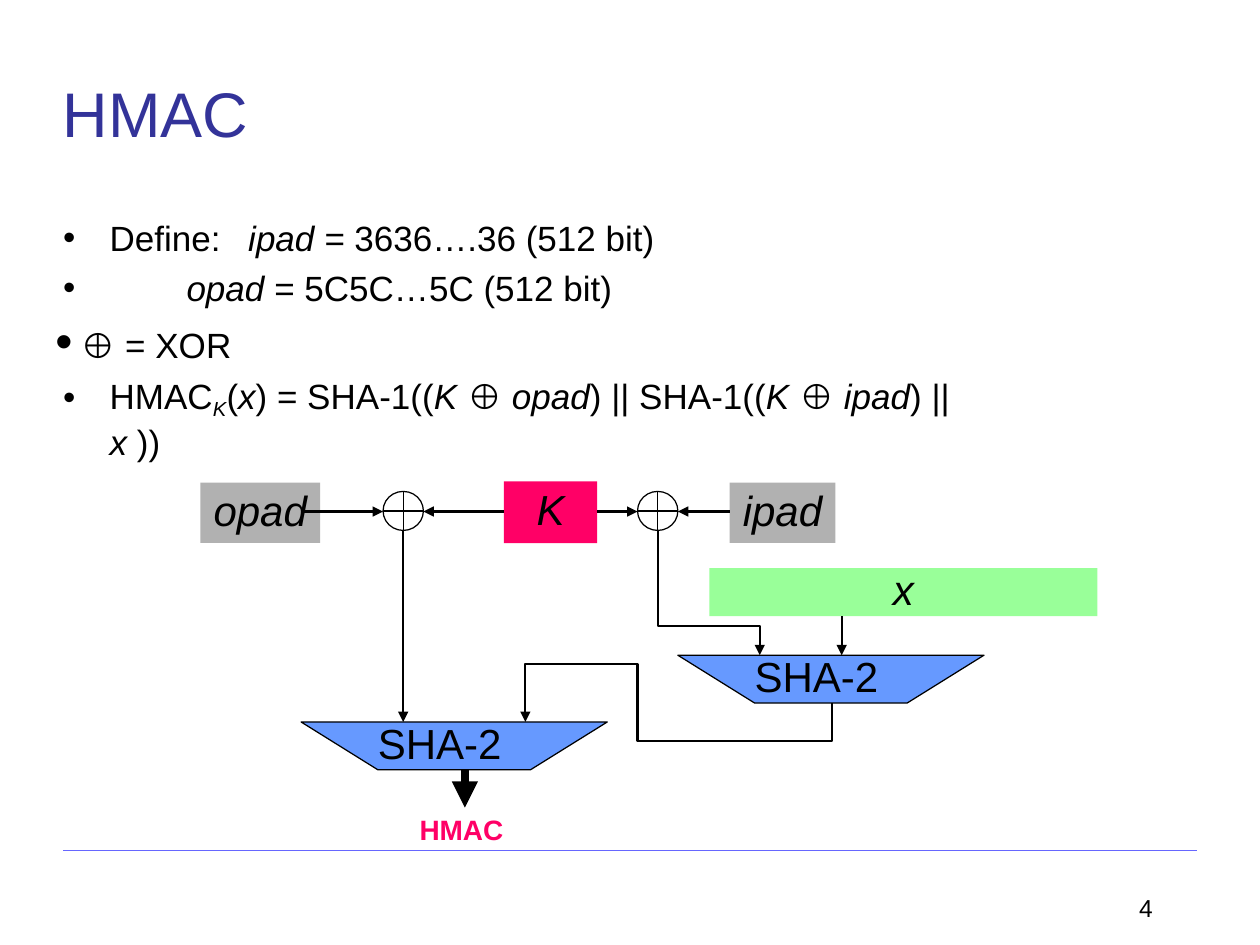
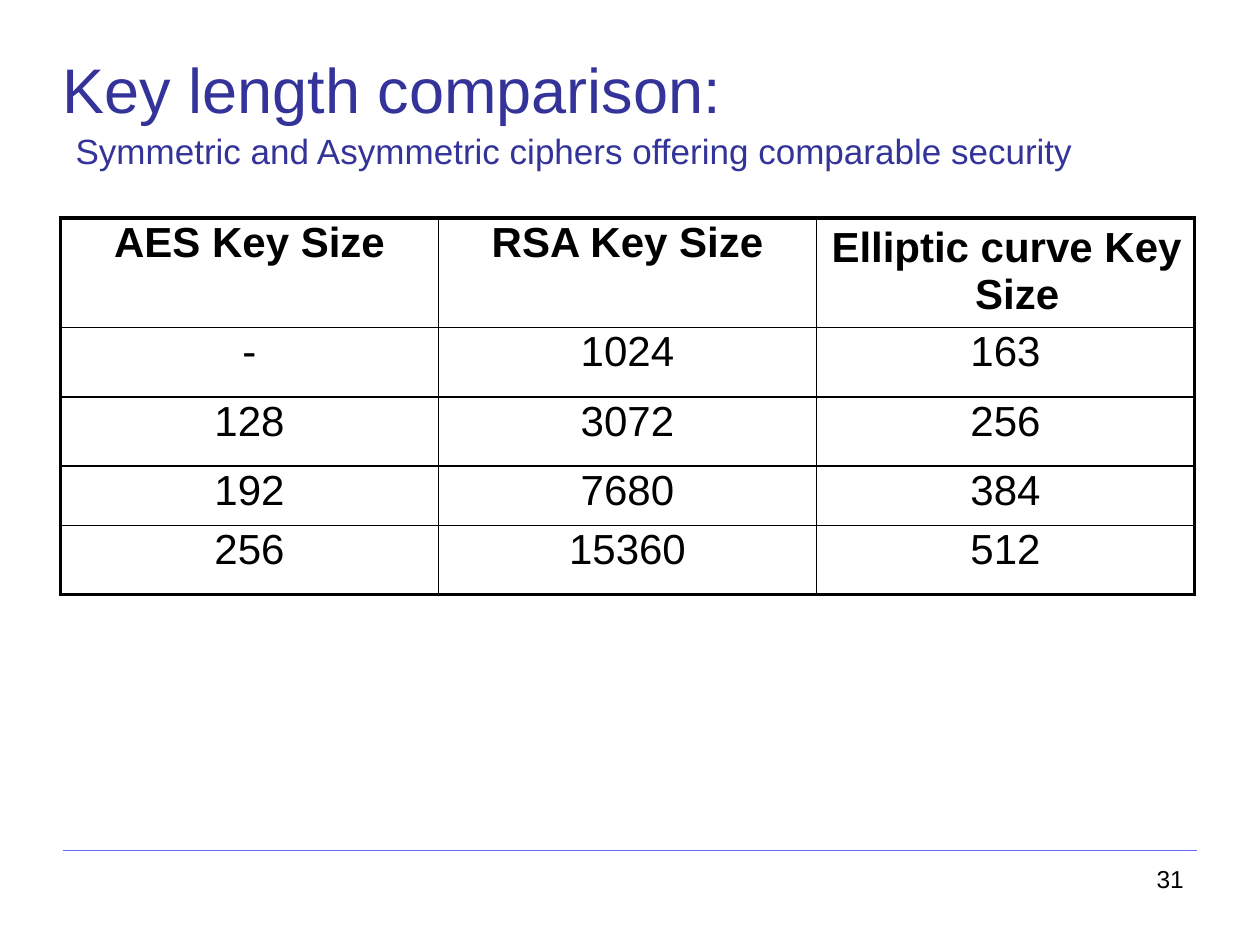
from dataclasses import dataclass
from typing import NamedTuple, Optional

from lxml.etree import SubElement
from pptx import Presentation
from pptx.dml.color import RGBColor
from pptx.enum.shapes import MSO_CONNECTOR as Connector, MSO_SHAPE as Preset
from pptx.enum.text import MSO_ANCHOR as Anchor, PP_ALIGN as Align
from pptx.oxml import parse_xml
from pptx.oxml.ns import nsdecls, qn
from pptx.util import Inches, Pt

FONT = "Arial"
BLACK, WHITE, NAVY, RULE = "000000", "FFFFFF", "333399", "6666FF"
PINK, GRAY, GREEN, BLUE = "FF0066", "B1B1B1", "99FF99", "6699FF"
TITLE_SIZE, BODY_SIZE, LABEL_SIZE, NUMBER_SIZE = 36, 20, 24, 14
THIN, WIRE, THICK = 0.72, 1.2, 5
WIRE_Y = 4.06
SHA_WIDTH, SHA_HEIGHT, SHA_SLANT = 2.43, 0.38, 0.61


class Span(NamedTuple):
    text: str
    size: float = BODY_SIZE
    color: str = BLACK
    italic: bool = False
    bold: bool = False
    baseline: int = 0


@dataclass
class Line:
    spans: list[Span]
    before: float = 0
    left: float = 0
    indent: float = 0
    bullet: bool = False
    tabs: tuple[float, ...] = ()
    align: Optional[Align] = None
    exact: Optional[float] = None


@dataclass
class Block:
    text: str
    left: float
    top: float
    width: float
    height: float
    fill: str


@dataclass
class Route:
    points: list[tuple[float, float]]
    weight: float = WIRE


def rgb(color: str) -> RGBColor:
    return RGBColor.from_string(color)


def alternate(*texts: str) -> list[Span]:
    return [Span(text, italic=index % 2 == 1) for index, text in enumerate(texts)]


def write(frame, lines: list[Line]) -> None:
    for index, line in enumerate(lines):
        para = frame.paragraphs[0] if index == 0 else frame.add_paragraph()
        props = para._p.get_or_add_pPr()
        props.set("marL", str(Inches(line.left)))
        props.set("indent", str(Inches(line.indent)))
        if line.bullet:
            SubElement(props, qn("a:buFont")).set("typeface", FONT)
            SubElement(props, qn("a:buChar")).set("char", "•")
        if line.tabs:
            stops = SubElement(props, qn("a:tabLst"))
            for position in line.tabs:
                stop = SubElement(stops, qn("a:tab"))
                stop.set("pos", str(Inches(position)))
                stop.set("algn", "l")
        if line.before:
            para.space_before = Pt(line.before)
        if line.exact:
            para.line_spacing = Pt(line.exact)
        if line.align is not None:
            para.alignment = line.align
        for piece in line.spans:
            span = para.add_run()
            span.text = piece.text
            font = span.font
            font.name, font.size = FONT, Pt(piece.size)
            font.italic, font.bold = piece.italic, piece.bold
            font.color.rgb = rgb(piece.color)
            if piece.baseline:
                span._r.get_or_add_rPr().set("baseline", str(piece.baseline * 1000))


def set_margins(holder, top: float = 0, right: float = 0, bottom: float = 0) -> None:
    holder.margin_left = 0
    holder.margin_top, holder.margin_right = Inches(top), Inches(right)
    holder.margin_bottom = Inches(bottom)


def add_text(page, left: float, top: float, width: float, height: float,
             lines: list[Line]) -> None:
    box = page.shapes.add_textbox(Inches(left), Inches(top), Inches(width), Inches(height))
    box.text_frame.word_wrap = True
    set_margins(box.text_frame)
    write(box.text_frame, lines)


def label_shape(shape, text: str, fill: str, italic: bool, right: float = 0) -> None:
    shape.shadow.inherit = False
    shape.fill.solid()
    shape.fill.fore_color.rgb = rgb(fill)
    frame = shape.text_frame
    frame.word_wrap = False
    frame.vertical_anchor = Anchor.MIDDLE
    set_margins(frame, right=right, bottom=0.05)
    write(frame, [Line([Span(text, LABEL_SIZE, italic=italic)], align=Align.CENTER)])


def add_block(page, block: Block) -> None:
    shape = page.shapes.add_shape(Preset.RECTANGLE, Inches(block.left), Inches(block.top),
                                  Inches(block.width), Inches(block.height))
    shape.line.fill.background()
    label_shape(shape, block.text, block.fill, italic=True)


def add_outline(page, points: list[tuple[float, float]], weight: float, close: bool):
    corners = [(Inches(x), Inches(y)) for x, y in points]
    builder = page.shapes.build_freeform(*corners[0])
    builder.add_line_segments(corners[1:], close=close)
    shape = builder.convert_to_shape()
    shape.shadow.inherit = False
    shape.line.color.rgb = rgb(BLACK)
    shape.line.width = Pt(weight)
    return shape


def add_sha(page, left: float, top: float) -> None:
    right, bottom = left + SHA_WIDTH, top + SHA_HEIGHT
    corners = [(left, top), (right, top), (right - SHA_SLANT, bottom),
               (left + SHA_SLANT, bottom)]
    shape = add_outline(page, corners, THIN, close=True)
    label_shape(shape, "SHA-2", BLUE, italic=False, right=0.23)


def add_xor(page, left: float) -> None:
    shape = page.shapes.add_shape(Preset.FLOWCHART_OR, Inches(left), Inches(3.9),
                                  Inches(0.32), Inches(0.31))
    shape.shadow.inherit = False
    shape.fill.background()
    shape.line.color.rgb = rgb(BLACK)
    shape.line.width = Pt(THIN)


def add_line(page, start: tuple[float, float], end: tuple[float, float],
             color: str, weight: float):
    line = page.shapes.add_connector(Connector.STRAIGHT, Inches(start[0]), Inches(start[1]),
                                     Inches(end[0]), Inches(end[1]))
    line.line.color.rgb = rgb(color)
    line.line.width = Pt(weight)
    SubElement(line._element.spPr, qn("a:effectLst"))
    return line


def add_route(page, route: Route) -> None:
    if len(route.points) == 2:
        wire = add_line(page, *route.points, BLACK, route.weight)
    else:
        wire = add_outline(page, route.points, route.weight, close=False)
        wire.fill.background()
    SubElement(wire.line._get_or_add_ln(), qn("a:tailEnd")).set("type", "triangle")


def add_page(deck, title_top: float, title: list[Line], number: str,
             number_left: float, number_top: float):
    page = deck.slides.add_slide(deck.slide_layouts[6])
    add_line(page, (0.5, 6.75), (9.5, 6.75), RULE, THIN)
    add_text(page, 0.5, title_top, 8.5, 0.6, title)
    add_text(page, number_left, number_top, 0.3, 0.25, [Line([Span(number, NUMBER_SIZE)])])
    return page


def title_line(text: str) -> Line:
    return Line([Span(text, TITLE_SIZE, NAVY)])


def add_hmac_page(deck) -> None:
    page = add_page(deck, 0.59, [title_line("HMAC")], "4", 9.04, 7.09)
    formula = [Span("HMAC"), Span("K", italic=True, baseline=-21)] + alternate(
        "(", "x", ") = SHA-1((", "K ", "⊕ ", "opad", ") || SHA-1((", "K ", "⊕ ",
        "ipad", ") || ", "x ", "))")
    add_text(page, 0.44, 1.72, 7.52, 1.48, [
        Line(alternate("Define:\t", "ipad = ", "3636….36 (512 bit)"),
             left=0.43, indent=-0.37, bullet=True, tabs=(0.43, 1.53)),
        Line(alternate("", "opad ", "= 5C5C…5C (512 bit)")[1:], before=4.3,
             left=1.04, indent=-0.98, bullet=True, tabs=(1.04,)),
        Line([Span(" ", size=28, baseline=-21), Span("⊕ = XOR")], before=0.5, bullet=True),
        Line(formula, left=0.43, indent=-0.37, bullet=True, tabs=(0.43,)),
    ])
    blocks = [
        Block("opad", 1.59, 3.83, 0.95, 0.48, GRAY),
        Block("K", 4, 3.82, 0.74, 0.49, PINK),
        Block("ipad", 5.79, 3.83, 0.84, 0.48, GRAY),
        Block("x", 5.63, 4.51, 3.08, 0.38, GREEN),
    ]
    for block in blocks:
        add_block(page, block)
    for left in (3.04, 5.06):
        add_xor(page, left)
    for left, top in ((5.38, 5.2), (2.39, 5.73)):
        add_sha(page, left, top)
    routes = [
        Route([(2.39, WIRE_Y), (3.04, WIRE_Y)]),
        Route([(4, WIRE_Y), (3.36, WIRE_Y)]),
        Route([(4.74, WIRE_Y), (5.06, WIRE_Y)]),
        Route([(5.79, WIRE_Y), (5.38, WIRE_Y)]),
        Route([(3.2, 4.21), (3.2, 5.73)]),
        Route([(5.22, 4.21), (5.22, 4.97), (6.03, 4.97), (6.03, 5.2)]),
        Route([(6.68, 4.89), (6.68, 5.2)]),
        Route([(6.6, 5.58), (6.6, 5.88), (5.06, 5.88), (5.06, 5.27),
               (4.17, 5.27), (4.17, 5.73)]),
        Route([(3.69, 6.11), (3.69, 6.41)], THICK),
    ]
    for route in routes:
        add_route(page, route)
    add_text(page, 3.33, 6.45, 0.8, 0.28, [Line([Span("HMAC", 16, PINK, bold=True)])])


def add_borders(cell, weights: dict[str, float]) -> None:
    props = cell._tc.get_or_add_tcPr()
    for index, (side, weight) in enumerate(weights.items()):
        props.insert(index, parse_xml(
            f'<a:ln{side} {nsdecls("a")} w="{Pt(weight)}"><a:solidFill>'
            f'<a:srgbClr val="{BLACK}"/></a:solidFill></a:ln{side}>'))


def add_key_page(deck) -> None:
    subtitle = "Symmetric and Asymmetric ciphers offering comparable security"
    page = add_page(deck, 0.4, [
        title_line("Key length comparison:"),
        Line([Span(subtitle, BODY_SIZE, NAVY)], before=2.3, left=0.1),
    ], "31", 9.18, 6.86)
    rows = [
        ("AES Key Size", "RSA Key Size", "Elliptic curve Key Size"),
        ("-", "1024", "163"),
        ("128", "3072", "256"),
        ("192", "7680", "384"),
        ("256", "15360", "512"),
    ]
    heights = (0.87, 0.55, 0.55, 0.47, 0.55)
    last_row, last_column = len(rows) - 1, len(rows[0]) - 1
    table = page.shapes.add_table(len(rows), len(rows[0]), Inches(0.48), Inches(1.73),
                                  Inches(9), Inches(sum(heights))).table
    table.first_row = table.horz_banding = False
    for column in table.columns:
        column.width = Inches(3)
    for r, (texts, height) in enumerate(zip(rows, heights)):
        table.rows[r].height = Inches(height)
        for c, text in enumerate(texts):
            cell = table.cell(r, c)
            cell.fill.solid()
            cell.fill.fore_color.rgb = rgb(WHITE)
            spans = [Span(text, LABEL_SIZE, bold=r == 0)]
            if r == 0 and c == last_column:
                set_margins(cell, top=0.05)
                line = Line(spans, left=1.26, indent=-1.14, exact=26.8)
            else:
                set_margins(cell, top=0.01)
                line = Line(spans, align=Align.CENTER)
            write(cell.text_frame, [line])
            outer = {"L": c == 0, "R": c == last_column, "T": r == 0, "B": r == last_row}
            add_borders(cell, {side: 2.25 if edge else 1 for side, edge in outer.items()})


def main() -> None:
    deck = Presentation()
    deck.slide_width, deck.slide_height = Inches(10), Inches(7.5)
    add_hmac_page(deck)
    add_key_page(deck)
    deck.save("out.pptx")


if __name__ == "__main__":
    main()
